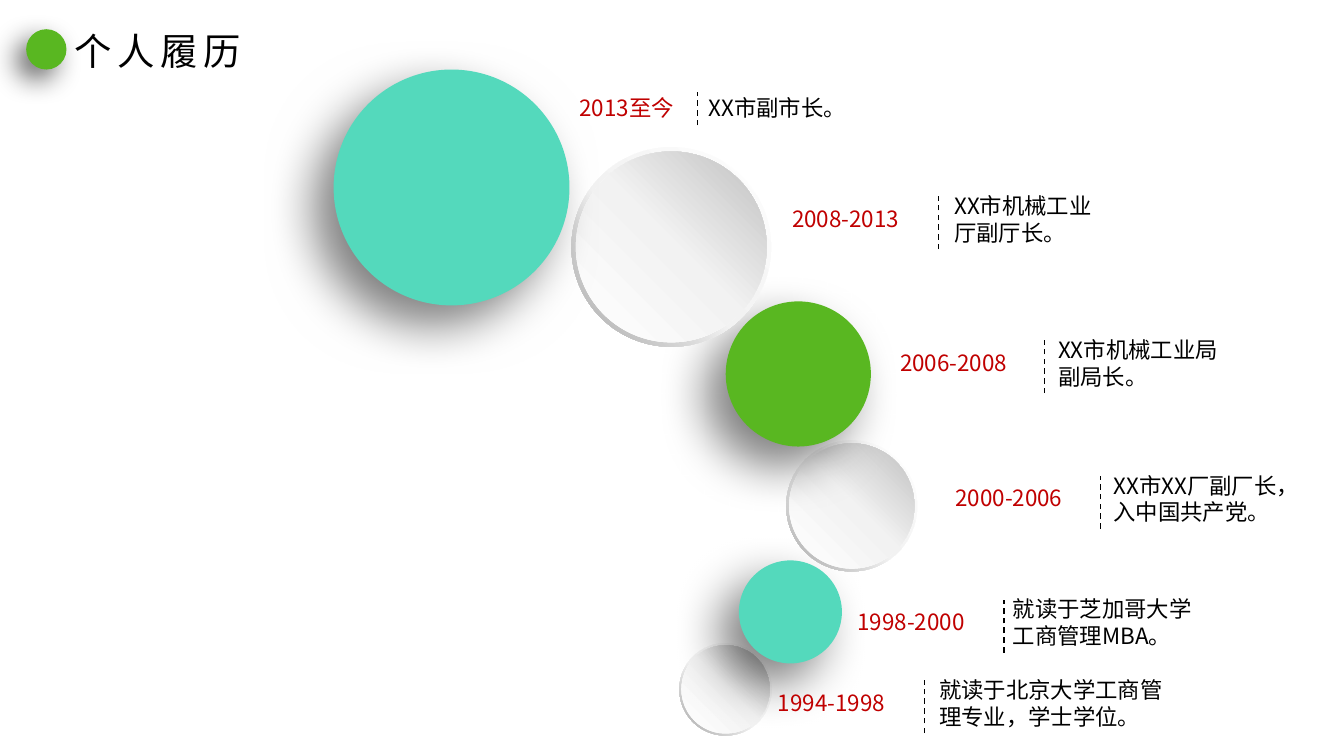
from pptx import Presentation
from pptx.dml.color import RGBColor
from pptx.enum.dml import MSO_LINE
from pptx.enum.shapes import MSO_CONNECTOR, MSO_SHAPE
from pptx.enum.text import MSO_ANCHOR, PP_ALIGN
from pptx.oxml import parse_xml
from pptx.oxml.ns import nsdecls, qn
from pptx.util import Pt
from lxml.etree import SubElement

COLORS = {"teal": "54D9BC", "green": "59B721", "black": "000000", "red": "C00000",
          "white": "FFFFFF", "pale": "F2F2F2", "rim": "A6A6A6", "face": "BFBFBF"}
FONT = "Noto Sans CJK SC"
LINE_HEIGHT = 19.2

prs = Presentation()
prs.slide_width, prs.slide_height = Pt(960), Pt(540)
slide = prs.slides.add_slide(prs.slide_layouts[5])


def add_circle(shapes, kind, x, y, size, fill, shadow=None):
    """fill is a colour name or (angle, [(position, colour name)]); shadow is (opacity, blur, distance)."""
    circle = shapes.add_shape(kind, Pt(x), Pt(y), Pt(size), Pt(size))
    props = circle._element.spPr
    if isinstance(fill, str):
        circle.fill.solid()
        circle.fill.fore_color.rgb = RGBColor.from_string(COLORS[fill])
    else:
        angle, stops = fill
        stop_xml = "".join(f'<a:gs pos="{pos * 1000}"><a:srgbClr val="{COLORS[name]}"/></a:gs>'
                           for pos, name in stops)
        props.insert(2, parse_xml(
            f'<a:gradFill {nsdecls("a")} rotWithShape="1"><a:gsLst>{stop_xml}</a:gsLst>'
            f'<a:lin ang="{angle * 60000}" scaled="0"/></a:gradFill>'))
    circle.line.fill.background()
    circle.shadow.inherit = False
    if shadow:
        opacity, blur, distance = shadow
        props.find(qn("a:effectLst")).append(parse_xml(
            f'<a:outerShdw {nsdecls("a")} blurRad="{Pt(blur)}" dist="{Pt(distance)}" '
            f'dir="{135 * 60000}" algn="tr" rotWithShape="0"><a:srgbClr val="{COLORS["black"]}">'
            f'<a:alpha val="{opacity * 1000}"/></a:srgbClr></a:outerShdw>'))
    return circle


def add_label(x, y, width, lines, color):
    box = slide.shapes.add_textbox(Pt(x), Pt(y), Pt(width), Pt(LINE_HEIGHT * len(lines) + 7.4))
    frame = box.text_frame
    frame.word_wrap = True
    frame.text = "\n".join(lines)
    for paragraph in frame.paragraphs:
        paragraph.font.name = FONT
        paragraph.font.size = Pt(16)
        paragraph.font.color.rgb = RGBColor.from_string(COLORS[color])
        font_props = paragraph._p.pPr.find(qn("a:defRPr"))
        SubElement(font_props, qn("a:ea")).set("typeface", FONT)


# Chain of circles, from the earliest post to the latest
RIM = (135, [(0, "white"), (55, "pale"), (100, "rim")])
FACE = (315, [(0, "white"), (51, "pale"), (100, "face")])
chain = [
    (485.3, 459.4, 66, None),
    (527.8, 400.3, 73.6, "teal"),
    (561.6, 314.6, 93.6, None),
    (518.4, 215.3, 103.7, "green"),
    (408.2, 105.1, 142.6, None),
    (238.3, 49.7, 168.5, "teal"),
]
for x, y, size, color in chain:
    if color:
        add_circle(slide.shapes, MSO_SHAPE.OVAL, x, y, size, color, (50, 35, 20))
    else:
        disc = slide.shapes.add_group_shape().shapes
        rim = add_circle(disc, MSO_SHAPE.DONUT, x, y, size, RIM)
        rim.adjustments[0] = 0.049
        inset = size * 0.022
        add_circle(disc, MSO_SHAPE.OVAL, x + inset, y + inset, size - 2 * inset, FACE)

# Years, divider and post: years x, years width, divider x, post x, post width, top
career = [
    ("1994-1998", ["就读于北京大学工商管", "理专业，学士学位。"], 548.6, 97, 660.2, 663.8, 178, 479.5),
    ("1998-2000", ["就读于芝加哥大学", "工商管理MBA。"], 605.5, 97, 717.1, 716.4, 145, 421.9),
    ("2000-2006", ["XX市XX厂副厂长，", "入中国共产党。"], 675.4, 97, 786.2, 788.4, 156, 333.4),
    ("2006-2008", ["XX市机械工业局", "副局长。"], 635.8, 97, 745.9, 748.8, 135, 236.7),
    ("2008-2013", ["XX市机械工业", "厅副厅长。"], 558.7, 97, 670.3, 674.6, 118, 133.9),
    ("2013至今", ["XX市副市长。"], 406.8, 85, 498.2, 499, 118, 63.4),
]
for years, post, years_x, years_width, divider_x, post_x, post_width, top in career:
    extra = len(post) - 1
    add_label(post_x, top, post_width, post, "black")
    add_label(years_x, top + 9.2 * extra, years_width, [years], "red")
    divider_top = top + 2.4 + 4 * extra
    divider = slide.shapes.add_connector(
        MSO_CONNECTOR.STRAIGHT, Pt(divider_x), Pt(divider_top + 23.8 + 14 * extra),
        Pt(divider_x), Pt(divider_top))
    divider.line.color.rgb = RGBColor.from_string(COLORS["black"])
    divider.line.width = Pt(1)
    divider.line.dash_style = MSO_LINE.DASH
    SubElement(divider._element.spPr, qn("a:effectLst"))

# Heading
add_circle(slide.shapes, MSO_SHAPE.OVAL, 18.7, 20.9, 28.8, "green", (60, 20, 10))
title = slide.shapes.title
title.left, title.top, title.width, title.height = Pt(46.1), Pt(16.6), Pt(150), Pt(39.6)
title.text_frame.text = "个人履历"
title.text_frame.word_wrap = True
title.text_frame.vertical_anchor = MSO_ANCHOR.TOP
heading = title.text_frame.paragraphs[0]
heading.alignment = PP_ALIGN.LEFT
heading.font.name = FONT
heading.font.size = Pt(26.7)
heading.font.color.rgb = RGBColor.from_string(COLORS["black"])
heading_props = heading._p.pPr.find(qn("a:defRPr"))
SubElement(heading_props, qn("a:ea")).set("typeface", FONT)
heading.runs[0].font._element.set("spc", "400")

prs.save("out.pptx")
